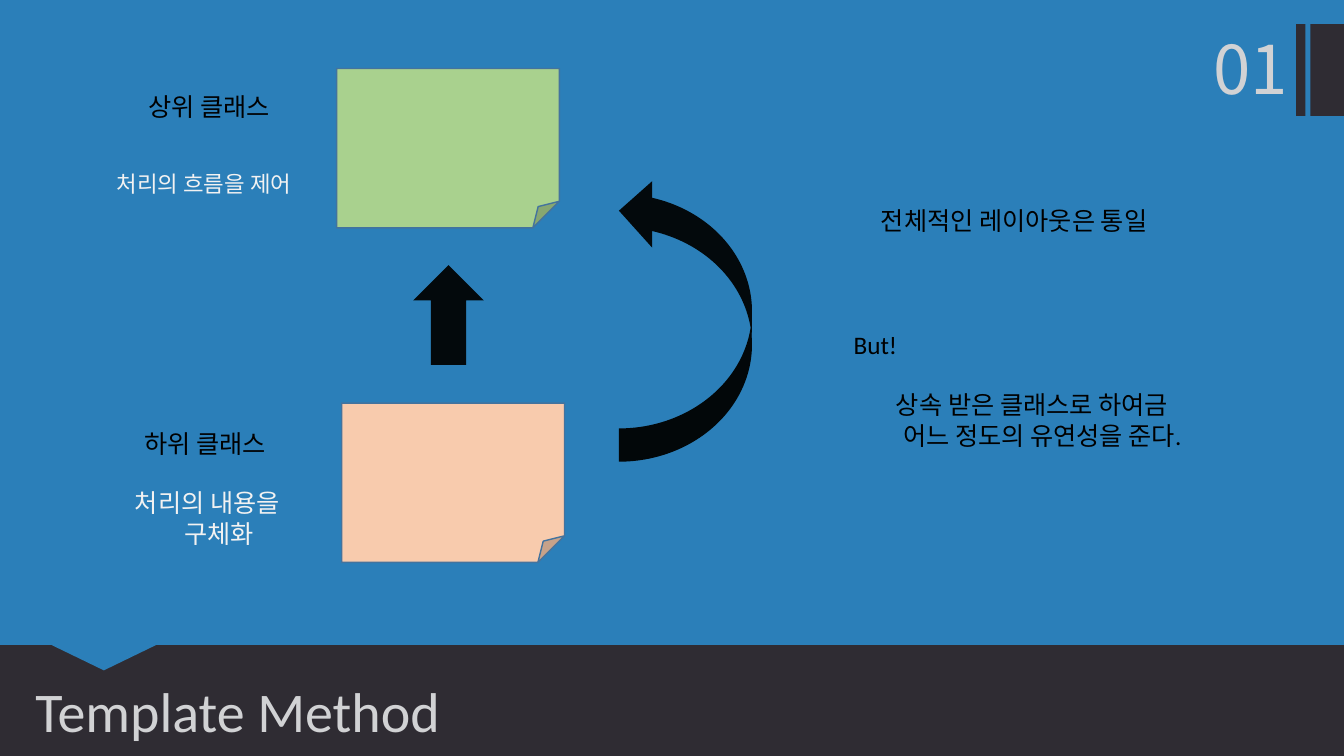
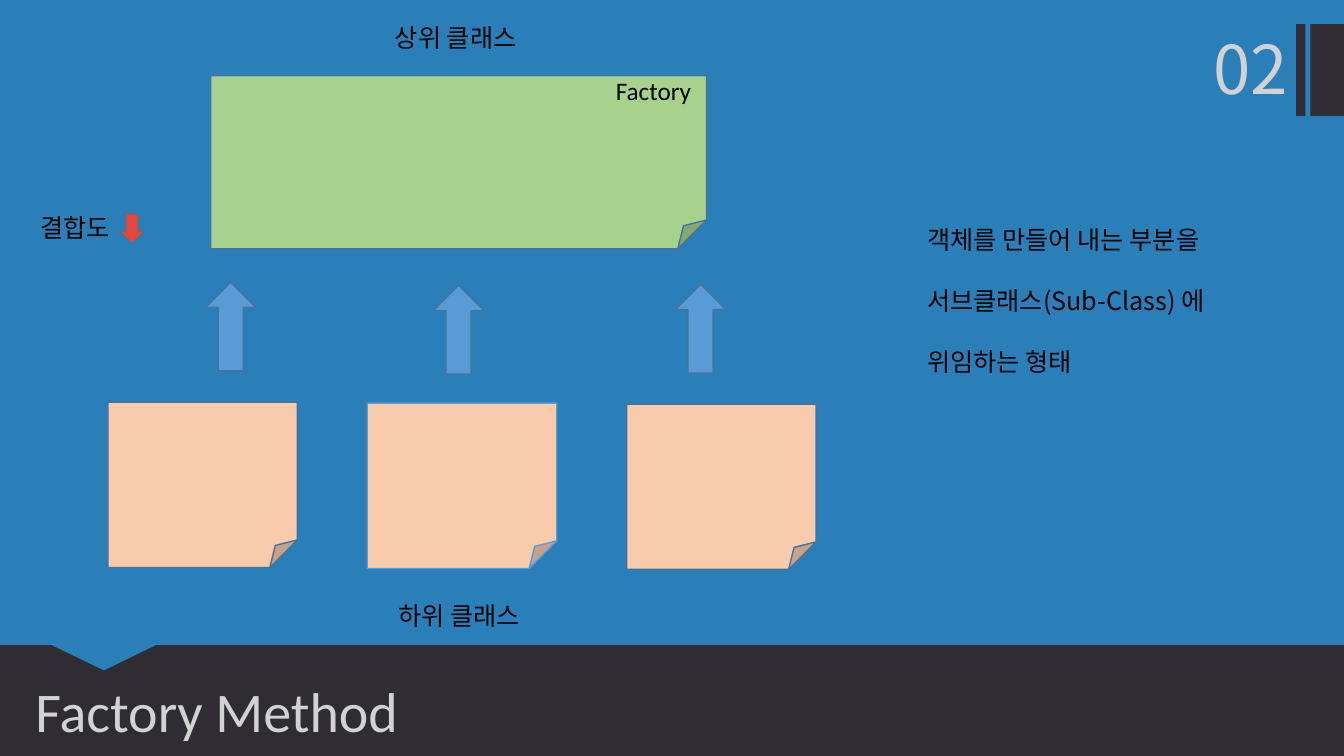
from dataclasses import dataclass

from lxml.etree import SubElement
from pptx import Presentation
from pptx.dml.color import RGBColor
from pptx.enum.shapes import MSO_SHAPE
from pptx.enum.text import MSO_ANCHOR, PP_ALIGN
from pptx.oxml.ns import qn
from pptx.util import Inches, Pt

BLUE = RGBColor(0x2B, 0x7F, 0xB9)
DARK = RGBColor(0x2F, 0x2C, 0x33)
SILVER = RGBColor(0xD1, 0xD2, 0xD4)
GREEN = RGBColor(0xA9, 0xD1, 0x8E)
PEACH = RGBColor(0xF8, 0xCB, 0xAD)
SKY = RGBColor(0x5B, 0x9B, 0xD5)
STEEL = RGBColor(0x43, 0x73, 0x9E)
RED = RGBColor(0xE2, 0x46, 0x3E)
INK = RGBColor(0x03, 0x09, 0x0C)
BLACK = RGBColor(0, 0, 0)
PALE = RGBColor(0xF2, 0xF2, 0xF2)

LATIN = "Calibri"
HANGUL = "Noto Sans CJK KR"
JAPANESE = "Noto Sans CJK JP"
NUMERAL = "Noto Sans CJK SC"


@dataclass(frozen=True)
class Box:
    """A rectangle that hands out inner boxes given in percent of its own size."""

    left: float
    top: float
    width: float
    height: float

    def inner(self, left, top, width, height):
        """Return the inner box at the given percentages."""
        return Box(self.left + self.width * left / 100,
                   self.top + self.height * top / 100,
                   self.width * width / 100,
                   self.height * height / 100)

    def lengths(self):
        """Return the four lengths as whole units."""
        return [int(value) for value in (self.left, self.top, self.width, self.height)]


@dataclass(frozen=True)
class Line:
    """One paragraph with its indent in inches and gap above in points."""

    text: str
    indent: float = 0
    gap: float = 0


def write(frame, lines, size=18, font=LATIN, color=BLACK, align=PP_ALIGN.LEFT, pitch=None):
    """Fill a text frame with formatted paragraphs."""
    frame_format = {"word_wrap": True, "vertical_anchor": MSO_ANCHOR.MIDDLE}
    for name, value in frame_format.items():
        setattr(frame, name, value)
    for index, line in enumerate(lines):
        para = frame.add_paragraph() if index else frame.paragraphs[0]
        para_format = {"alignment": align, "space_before": Pt(line.gap), "line_spacing": pitch}
        for name, value in para_format.items():
            setattr(para, name, value)
        if line.indent:
            para._p.get_or_add_pPr().set("marL", str(Inches(line.indent)))
        span = para.add_run()
        span.text = line.text
        for name, value in {"size": Pt(size), "name": font, "bold": False}.items():
            setattr(span.font, name, value)
        span.font.color.rgb = color
        east_asian = HANGUL if font == LATIN else font
        SubElement(span._r.get_or_add_rPr(), qn("a:ea"), typeface=east_asian)


def add_text(page, box, *lines, **style):
    """Add a text box; plain strings become simple lines."""
    frame = page.shapes.add_textbox(*box.lengths()).text_frame
    write(frame, [Line(line) if isinstance(line, str) else line for line in lines], **style)


def add_figure(page, kind, box, fill, line=None, rotation=0):
    """Add a flat preset shape."""
    figure = page.shapes.add_shape(kind, *box.lengths())
    figure.shadow.inherit = False
    figure.rotation = rotation
    figure.fill.solid()
    figure.fill.fore_color.rgb = fill
    if line is None:
        figure.line.fill.background()
    else:
        figure.line.color.rgb = line
        figure.line.width = Pt(1)


def add_frame(deck, box, number, title):
    """Add a page with its number tab, notched band and title."""
    page = deck.slides.add_slide(deck.slide_layouts.get_by_name("Title Only"))
    for left, width in ((97.5, 2.5), (96.45, 0.68)):
        add_figure(page, MSO_SHAPE.RECTANGLE, box.inner(left, 3.2, width, 12.13), DARK)
    add_text(page, box.inner(89.55, 2.9, 7.8, 12.13), number,
             size=48, font=NUMERAL, color=SILVER)
    band = box.inner(0, 85.33, 100, 14.67)
    add_figure(page, MSO_SHAPE.RECTANGLE, band, DARK)
    notch = box.inner(0.3, 82.27, 14.85, 6.4)
    add_figure(page, MSO_SHAPE.ISOSCELES_TRIANGLE, notch, BLUE, rotation=180)
    heading = page.shapes.title
    place = box.inner(1.88, 88.8, 46.43, 10.27).lengths()
    for name, value in zip(("left", "top", "width", "height"), place):
        setattr(heading, name, value)
    write(heading.text_frame, [Line(title)], size=40, color=SILVER)
    page.shapes._spTree.append(heading._element)
    return page


def add_class_panel(page, box, fill, label, label_place, role, role_place, role_size):
    """Add a class note with its name and role on the left."""
    add_figure(page, MSO_SHAPE.FOLDED_CORNER, box.inner(50.87, 0, 48.04, 100), fill, STEEL)
    add_text(page, box.inner(*label_place), label, font=HANGUL)
    add_text(page, box.inner(*role_place), *role, size=role_size, color=PALE, pitch=Pt(22))


def add_template_method(deck, box):
    """Build the page on the Template Method pattern."""
    page = add_frame(deck, box, "01", "Template Method")
    add_class_panel(page, box.inner(7.5, 9.07, 34.5, 21.07), GREEN,
                    "상위 클래스", (8.04, 11.39, 48.91, 25.32),
                    ["처리의 흐름을 제어"], (1.3, 59.49, 48.26, 23.42), 16)
    add_class_panel(page, box.inner(7.88, 53.33, 34.5, 21.07), PEACH,
                    "하위 클래스", (6.09, 12.66, 48.91, 25.32),
                    ["처리의 내용을", Line("구체화", 0.49)], (4.13, 49.37, 44.78, 44.94), 18)
    add_figure(page, MSO_SHAPE.UP_ARROW, box.inner(30.75, 35.07, 5.25, 13.2), INK)
    add_figure(page, MSO_SHAPE.CURVED_RIGHT_ARROW, box.inner(46.05, 23.47, 9.9, 37.6),
               INK, rotation=180)
    add_text(page, box.inner(62.78, 26.53, 31.88, 33.6),
             Line("전체적인 레이아웃은 통일", 0.27),
             Line("But!", gap=66),
             Line("상속 받은 클래스로 하여금", 0.42, 21),
             Line("어느 정도의 유연성을 준다.", 0.49),
             pitch=Pt(22))


def add_factory_method(deck, box):
    """Build the page on the Factory Method pattern."""
    page = add_frame(deck, box, "02", "Factory Method")
    add_figure(page, MSO_SHAPE.FOLDED_CORNER, box.inner(15.68, 10, 36.9, 22.93), GREEN, STEEL)
    arrow_places = ((15.3, 37.33), (32.25, 37.73), (50.25, 37.6))
    for index, (arrow, edge) in enumerate(zip(arrow_places, (STEEL, SKY, STEEL))):
        note = box.inner(8.03 + 19.3 * index, 53.2 + 0.13 * index, 14.1, 21.87)
        add_figure(page, MSO_SHAPE.FOLDED_CORNER, note, PEACH, edge)
        add_figure(page, MSO_SHAPE.UP_ARROW, box.inner(*arrow, 3.75, 11.73), SKY, STEEL)
    add_text(page, box.inner(22.2, 2.13, 23.4, 5.6), "상위 클래스",
             font=HANGUL, align=PP_ALIGN.CENTER)
    add_text(page, box.inner(19.43, 78.8, 29.48, 5.33), "하위 클래스",
             font=HANGUL, align=PP_ALIGN.CENTER)
    add_text(page, box.inner(2.25, 27.47, 11.55, 5.33), "결합도")
    add_figure(page, MSO_SHAPE.DOWN_ARROW, box.inner(8.85, 28.27, 1.95, 4), RED, STEEL)
    add_text(page, box.inner(45.08, 9.33, 14.7, 5.33), "Factory")
    add_text(page, box.inner(68.25, 28.93, 30, 21.6),
             "객체를 만들어 내는 부분을",
             Line("서브클래스(Sub-Class) 에", gap=21.5),
             Line("위임하는 형태", gap=21.5),
             font=JAPANESE, pitch=Pt(22))


def main():
    """Build and save the deck."""
    deck = Presentation()
    deck.slide_width, deck.slide_height = Inches(13.33), Inches(7.5)
    backdrop = deck.slide_master.background.fill
    backdrop.solid()
    backdrop.fore_color.rgb = BLUE
    whole = Box(0, 0, deck.slide_width, deck.slide_height)
    add_template_method(deck, whole)
    add_factory_method(deck, whole)
    deck.save("out.pptx")


if __name__ == "__main__":
    main()
